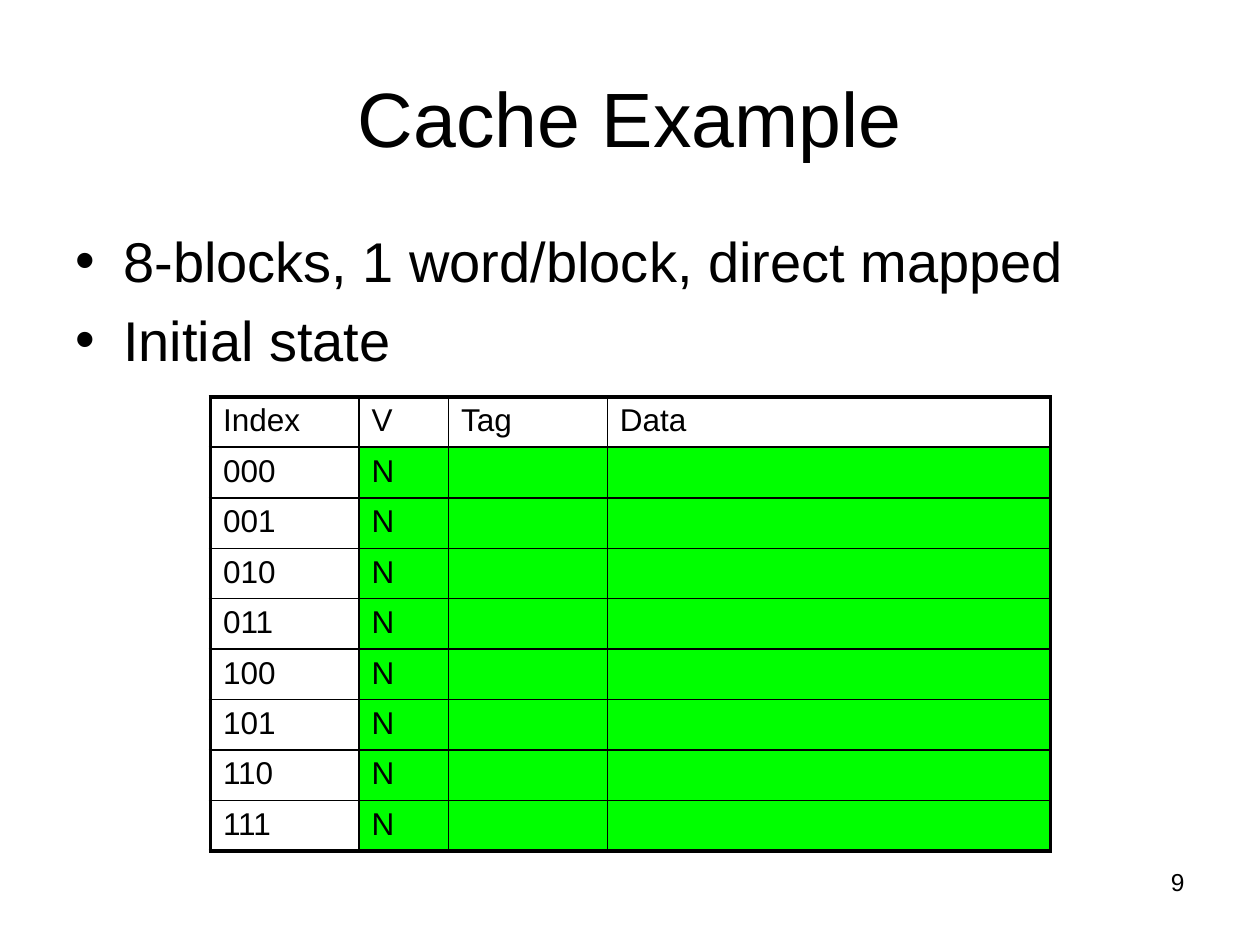
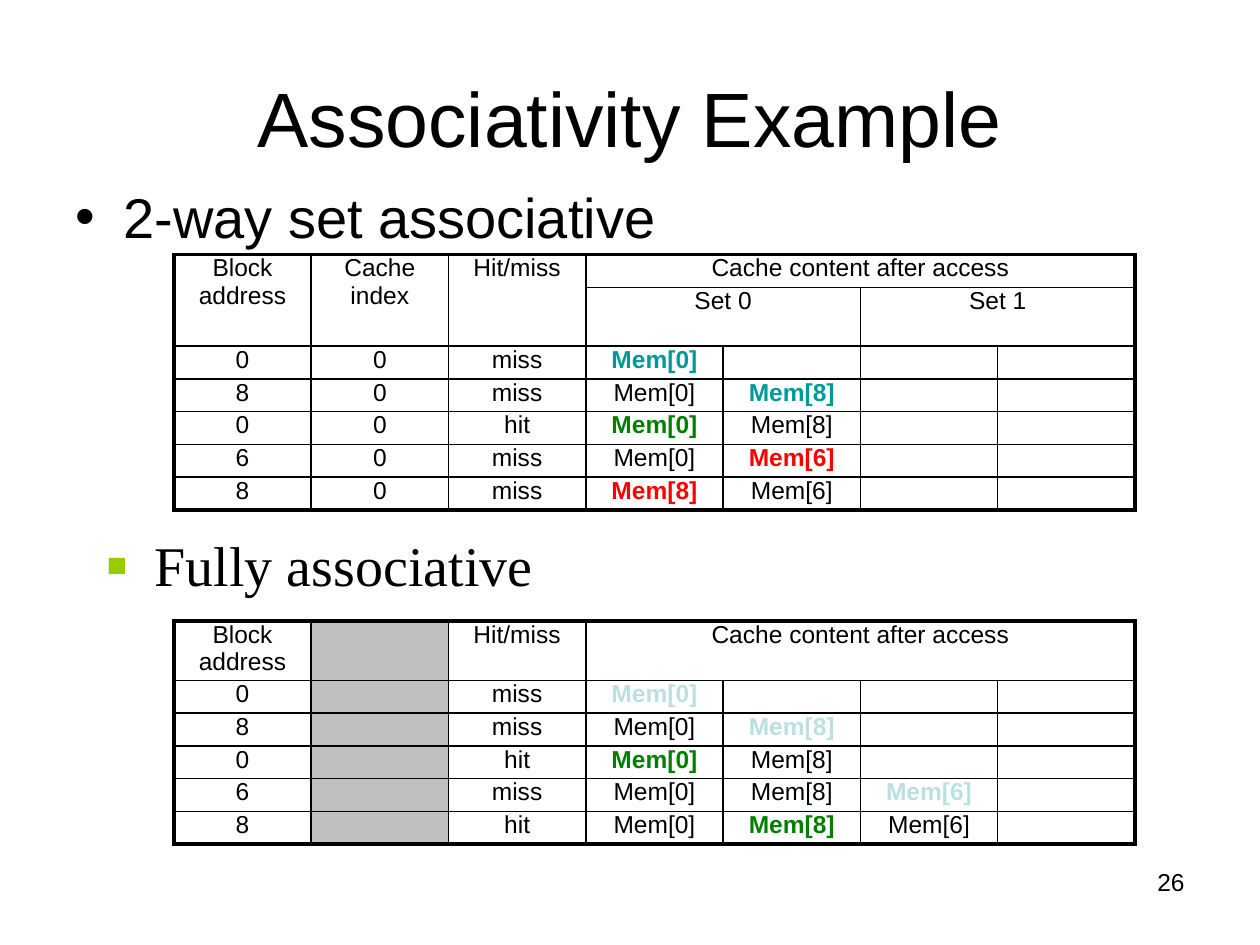
from lxml import etree
from pptx import Presentation
from pptx.dml.color import RGBColor
from pptx.enum.text import MSO_ANCHOR, PP_ALIGN
from pptx.oxml.ns import qn
from pptx.util import Inches, Pt

COLORS = {"black": "000000", "valid": "00FF00", "unused": "C0C0C0", "teal": "009999",
          "green": "008000", "red": "FF0000", "pale": "BBE0E3", "bullet": "99CC00"}
FONT, SERIF = "Arial", "Times New Roman"
NO_STYLE = "{2D5ABB26-0587-4C30-8999-92F81FD0307C}"
THIN, HEADER_RULE, THICK = 1, 1.5, 2.25
LEFT, WIDTH = 0.5, 9

# Content: a table cell is a string, or (text, colour) for a highlighted one
STATE = {
    "at": (1.67, 3.15), "cols": [1.18, 0.71, 1.26, 3.52], "heights": [0.4] * 9,
    "rows": [["Index", "V", "Tag", "Data"]] + [[f"{i:03b}", "N", "", ""] for i in range(8)],
    "fill": "valid", "filled": lambda r, c: r > 0 and c > 0,
    "size": 18, "align": PP_ALIGN.LEFT, "pad": 0.05, "header_rule": HEADER_RULE,
}
ACCESSES = {"cols": [1.09] * 7, "size": 14, "align": PP_ALIGN.CENTER, "pad": 0}
TWO_WAY = ACCESSES | {
    "at": (1.38, 2.02), "heights": [0.26] * 7,
    "rows": [
        ["Block address", "Cache index", "Hit/miss", "Cache content after access", "", "", ""],
        ["", "", "", "Set 0", "", "Set 1", ""],
        ["0", "0", "miss", ("Mem[0]", "teal"), "", "", ""],
        ["8", "0", "miss", "Mem[0]", ("Mem[8]", "teal"), "", ""],
        ["0", "0", "hit", ("Mem[0]", "green"), "Mem[8]", "", ""],
        ["6", "0", "miss", "Mem[0]", ("Mem[6]", "red"), "", ""],
        ["8", "0", "miss", ("Mem[8]", "red"), "Mem[6]", "", ""],
    ],
    "merges": [(0, 0, 1, 0), (0, 1, 1, 1), (0, 2, 1, 2), (0, 3, 0, 6), (1, 3, 1, 4), (1, 5, 1, 6)],
}
FULLY = ACCESSES | {
    "at": (1.38, 4.93), "heights": [0.47] + [0.26] * 5,
    "rows": [
        ["Block address", "", "Hit/miss", "Cache content after access", "", "", ""],
        ["0", "", "miss", ("Mem[0]", "pale"), "", "", ""],
        ["8", "", "miss", "Mem[0]", ("Mem[8]", "pale"), "", ""],
        ["0", "", "hit", ("Mem[0]", "green"), "Mem[8]", "", ""],
        ["6", "", "miss", "Mem[0]", "Mem[8]", ("Mem[6]", "pale"), ""],
        ["8", "", "hit", "Mem[0]", ("Mem[8]", "green"), "Mem[6]", ""],
    ],
    "merges": [(0, 3, 0, 6)],
    "fill": "unused", "filled": lambda r, c: c == 1,
}
ROUND = {"char": "•", "font": FONT}
SQUARE = {"char": "■", "font": SERIF, "color": "bullet", "percent": 60, "line": 0.9}
SLIDES = [
    {"title": "Cache Example", "number": "9", "tables": [STATE],
     "bullets": [((LEFT, 1.75, WIDTH, 4.95),
                  ["8-blocks, 1 word/block, direct mapped", "Initial state"], ROUND)]},
    {"title": "Associativity Example", "number": "26", "tables": [TWO_WAY, FULLY],
     "bullets": [((LEFT, 1.4, WIDTH, 4.95), ["2-way set associative"], ROUND),
                 ((0.75, 4.22, 8.5, 0.63), ["Fully associative"], SQUARE)]},
]


def rgb(name):
    return RGBColor.from_string(COLORS[name])


def sub(parent, tag, **attrs):
    return etree.SubElement(parent, qn(tag), {k: str(v) for k, v in attrs.items()})


def add_run(p, text, size, font=FONT, color="black", bold=False):
    r = p.add_run()
    r.text = text
    r.font.size, r.font.name, r.font.bold = Pt(size), font, bold
    r.font.color.rgb = rgb(color)


def space_before(p):
    pPr = p._p.get_or_add_pPr()
    sub(sub(pPr, "a:spcBef"), "a:spcPct", val=20000)
    return pPr


def add_box(s, at):
    tf = s.shapes.add_textbox(*map(Inches, at)).text_frame
    tf.word_wrap = True
    return tf


def add_bullets(s, at, lines, style):
    tf = add_box(s, at)
    for i, line in enumerate(lines):
        p = tf.add_paragraph() if i else tf.paragraphs[0]
        if "line" in style:
            p.line_spacing = style["line"]
        pPr = space_before(p)
        pPr.set("marL", str(Inches(0.38)))
        pPr.set("indent", str(-Inches(0.38)))
        if "color" in style:
            sub(sub(pPr, "a:buClr"), "a:srgbClr", val=COLORS[style["color"]])
            sub(pPr, "a:buSzPct", val=style["percent"] * 1000)
        sub(pPr, "a:buFont", typeface=style["font"])
        sub(pPr, "a:buChar", char=style["char"])
        add_run(p, line, 32, style["font"])


def set_borders(cell, widths):
    tcPr = cell._tc.get_or_add_tcPr()
    for i, (side, width) in enumerate(widths.items()):
        ln = etree.Element(qn(f"a:ln{side}"), w=str(Pt(width)))
        sub(sub(ln, "a:solidFill"), "a:srgbClr", val=COLORS["black"])
        tcPr.insert(i, ln)


def add_cache_table(s, t):
    n_rows, n_cols = len(t["rows"]), len(t["cols"])
    size = sum(t["cols"]), sum(t["heights"])
    tbl = s.shapes.add_table(n_rows, n_cols, *map(Inches, t["at"] + size)).table
    tbl._tbl.tblPr.find(qn("a:tableStyleId")).text = NO_STYLE
    tbl.first_row = tbl.horz_banding = False
    for col, width in zip(tbl.columns, t["cols"]):
        col.width = Inches(width)
    for row, height in zip(tbl.rows, t["heights"]):
        row.height = Inches(height)
    for r1, c1, r2, c2 in t.get("merges", []):
        tbl.cell(r1, c1).merge(tbl.cell(r2, c2))

    header_rule = t.get("header_rule", THIN)
    for r, row in enumerate(t["rows"]):
        for c, item in enumerate(row):
            cell = tbl.cell(r, c)
            cell.margin_left = cell.margin_right = Inches(0.1)
            cell.margin_top = cell.margin_bottom = Inches(t["pad"])
            p = cell.text_frame.paragraphs[0]
            p.alignment = t["align"]
            space_before(p)
            text, color = (item, "black") if isinstance(item, str) else item
            if text:
                add_run(p, text, t["size"], color=color, bold=color != "black")
            else:
                sub(p._p, "a:endParaRPr", sz=t["size"] * 100)
            if cell.is_spanned:
                continue
            if "filled" in t and t["filled"](r, c):
                cell.fill.solid()
                cell.fill.fore_color.rgb = rgb(t["fill"])
            else:
                cell.fill.background()
            # Thick frame outside, thin rules inside
            end_r = r + (cell.span_height if cell.is_merge_origin else 1)
            end_c = c + (cell.span_width if cell.is_merge_origin else 1)
            set_borders(cell, {
                "L": THICK if c == 0 else THIN,
                "R": THICK if end_c == n_cols else THIN,
                "T": THICK if r == 0 else header_rule if r == 1 else THIN,
                "B": THICK if end_r == n_rows else header_rule if r == 0 else THIN,
            })


def add_slide(prs, content):
    s = prs.slides.add_slide(prs.slide_layouts[5])
    # Title
    title = s.shapes.title
    title.left, title.top, title.width, title.height = map(Inches, (LEFT, 0.3, WIDTH, 1.25))
    title.text_frame.vertical_anchor = MSO_ANCHOR.MIDDLE
    p = title.text_frame.paragraphs[0]
    p.alignment = PP_ALIGN.CENTER
    add_run(p, content["title"], 44)
    # Body
    for at, lines, style in content["bullets"]:
        add_bullets(s, at, lines, style)
    for table in content["tables"]:
        add_cache_table(s, table)
    # Page number
    p = add_box(s, (7.17, 6.83, 2.33, 0.52)).paragraphs[0]
    p.alignment = PP_ALIGN.RIGHT
    add_run(p, content["number"], 14)


def main():
    prs = Presentation()
    prs.slide_width, prs.slide_height = Inches(10), Inches(7.5)
    for content in SLIDES:
        add_slide(prs, content)
    prs.save("out.pptx")


if __name__ == "__main__":
    main()
